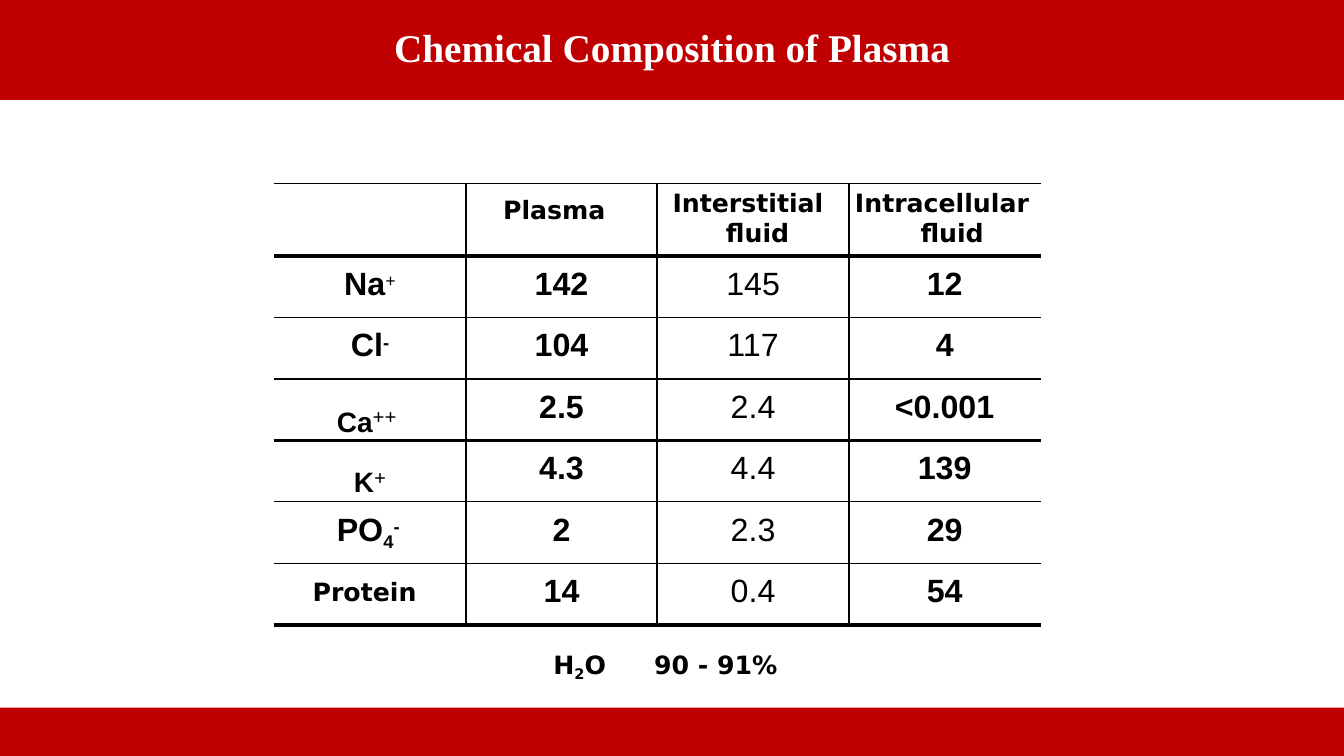
from lxml import etree
from pptx import Presentation
from pptx.dml.color import RGBColor
from pptx.enum.shapes import MSO_SHAPE
from pptx.enum.text import MSO_ANCHOR, PP_ALIGN
from pptx.oxml.ns import qn
from pptx.util import Inches, Pt

RED = RGBColor(0xC0, 0x00, 0x00)
WHITE = RGBColor(0xFF, 0xFF, 0xFF)
BLACK = RGBColor(0x00, 0x00, 0x00)
RECTANGLE = MSO_SHAPE.RECTANGLE
MIDDLE = MSO_ANCHOR.MIDDLE
LEFT, CENTER = PP_ALIGN.LEFT, PP_ALIGN.CENTER
SERIF, SANS, LABEL = "Times New Roman", "Arial", "DejaVu Sans"

WIDTH, HEIGHT = 13.33, 7.5
COLUMN, HEADER_ROW, BODY_ROW = 1.9, 0.72, 0.61
RULES = [1.5, 3, 1, 1, 3, 1, 1, 3]
COLUMN_RULE = 1.5

# Each head: text, left margin, first-line indent, top inset.
HEADS = [
    ("Plasma", 0.37, 0, 0.13),
    ("Interstitial fluid", 0.68, -0.53, 0.06),
    ("Intracellular fluid", 0.71, -0.65, 0.06),
]
# Each ion: spans of (text, size, font, baseline), left margin or None to centre, top inset.
IONS = [
    ([("Na", 23, SANS, 0), ("+", 22.5, SERIF, 24)], None, 0.1),
    ([("Cl", 23, SANS, 0), ("-", 22.5, SANS, 24)], None, 0.1),
    ([("Ca", 34.5, SANS, -16), ("++", 15, SERIF, 0)], 0.62, 0.02),
    ([("K", 34.5, SANS, -16), ("+", 15, SERIF, 0)], None, 0.01),
    ([("PO", 23, SANS, 0), ("4", 22.5, SANS, -24), ("-", 22.5, SANS, 24)], 0.62, 0.1),
    ([("Protein", 18, LABEL, 0)], 0.38, 0.15),
]
VALUES = [
    ("142", "145", "12"),
    ("104", "117", "4"),
    ("2.5", "2.4", "<0.001"),
    ("4.3", "4.4", "139"),
    ("2", "2.3", "29"),
    ("14", "0.4", "54"),
]


def add_spans(para, spans, bold=True):
    """Add runs of (text, size, font, baseline) to a paragraph."""
    for text, size, face, baseline in spans:
        span = para.add_run()
        span.text = text
        span.font.size = Pt(size)
        span.font.name = face
        span.font.bold = bold
        span.font.color.rgb = BLACK
        if baseline:
            span.font._element.set("baseline", str(baseline * 1000))


def indent(para, margin, first=0):
    """Set the left margin and first-line indent in inches."""
    properties = para._p.get_or_add_pPr()
    properties.set("marL", str(Inches(margin)))
    properties.set("indent", str(Inches(first)))
    return properties


def add_border(cell, side, weight):
    """Draw one side of a cell, or clear it when the weight is zero."""
    line = etree.SubElement(cell._tc.get_or_add_tcPr(), qn("a:" + side))
    line.set("w", str(Pt(weight)))
    if weight:
        fill = etree.SubElement(line, qn("a:solidFill"))
        etree.SubElement(fill, qn("a:srgbClr")).set("val", str(BLACK))
    else:
        etree.SubElement(line, qn("a:noFill"))


def fill_cell(cell, spans, margin=None, first=0, top=0.1, bold=True):
    """Write one cell, centred unless a left margin is given."""
    cell.margin_top = Inches(top)
    para = cell.text_frame.paragraphs[0]
    para.alignment = CENTER if margin is None else LEFT
    if margin is not None:
        indent(para, margin, first)
    add_spans(para, spans, bold)


def title_band(page, left, top, width, height):
    """Turn the title placeholder into the red top band."""
    title = page.shapes.title
    title.left, title.top = Inches(left), Inches(top)
    title.width, title.height = Inches(width), Inches(height)
    title.fill.solid()
    title.fill.fore_color.rgb = RED
    title.text_frame.text = "Chemical Composition of Plasma"
    title.text_frame.vertical_anchor = MIDDLE
    para = title.text_frame.paragraphs[0]
    para.alignment = CENTER
    para.line_spacing = 0.9
    font = para.runs[0].font
    font.size, font.name, font.bold = Pt(28), SERIF, True
    font.color.rgb = WHITE


def bottom_band(page, left, top, width, height):
    """Add the plain red bottom band."""
    band = page.shapes.add_shape(
        RECTANGLE, Inches(left), Inches(top), Inches(width), Inches(height))
    band.shadow.inherit = False
    band.fill.solid()
    band.fill.fore_color.rgb = RED
    band.line.fill.background()


def composition_table(page, left, top):
    """Add the table of concentrations in the three fluids."""
    rows, columns = len(IONS) + 1, len(HEADS) + 1
    table = page.shapes.add_table(
        rows, columns, Inches(left), Inches(top), Inches(columns * COLUMN),
        Inches(HEADER_ROW + len(IONS) * BODY_ROW)).table
    table.first_row = table.horz_banding = False
    for column in table.columns:
        column.width = Inches(COLUMN)
    for index, row in enumerate(table.rows):
        row.height = Inches(BODY_ROW if index else HEADER_ROW)
        for place, cell in enumerate(row.cells):
            cell.margin_left = cell.margin_right = cell.margin_bottom = 0
            add_border(cell, "lnL", COLUMN_RULE if place else 0)
            add_border(cell, "lnR", COLUMN_RULE if place < columns - 1 else 0)
            add_border(cell, "lnT", RULES[index])
            add_border(cell, "lnB", RULES[index + 1])
            cell.fill.background()
    for place, (text, margin, first, inset) in enumerate(HEADS, 1):
        fill_cell(table.cell(0, place), [(text, 18, LABEL, 0)], margin, first, inset)
    for index, ((spans, margin, inset), values) in enumerate(zip(IONS, VALUES), 1):
        fill_cell(table.cell(index, 0), spans, margin, top=inset)
        for place, value in enumerate(values, 1):
            fill_cell(table.cell(index, place), [(value, 23, SANS, 0)], bold=place != 2)


def water_note(page, left, top, width, height):
    """Add the water share below the table."""
    box = page.shapes.add_textbox(
        Inches(left), Inches(top), Inches(width), Inches(height))
    box.text_frame.word_wrap = True
    para = box.text_frame.paragraphs[0]
    tabs = etree.SubElement(indent(para, 0.03), qn("a:tabLst"))
    etree.SubElement(tabs, qn("a:tab"), pos=str(Inches(1.49)), algn="l")
    add_spans(para, [("H", 18, LABEL, 0), ("2", 18, LABEL, -21),
                     ("O\t90 - 91%", 18, LABEL, 0)])


def main():
    """Build and save the slide."""
    deck = Presentation()
    deck.slide_width, deck.slide_height = Inches(WIDTH), Inches(HEIGHT)
    page = deck.slides.add_slide(deck.slide_layouts[5])
    title_band(page, 0, 0, WIDTH, 0.99)
    bottom_band(page, 0, HEIGHT - 0.48, WIDTH, 0.48)
    composition_table(page, 2.72, 1.82)
    water_note(page, 5.36, 6.39, 3.02, 0.4)
    deck.save("out.pptx")


if __name__ == "__main__":
    main()
